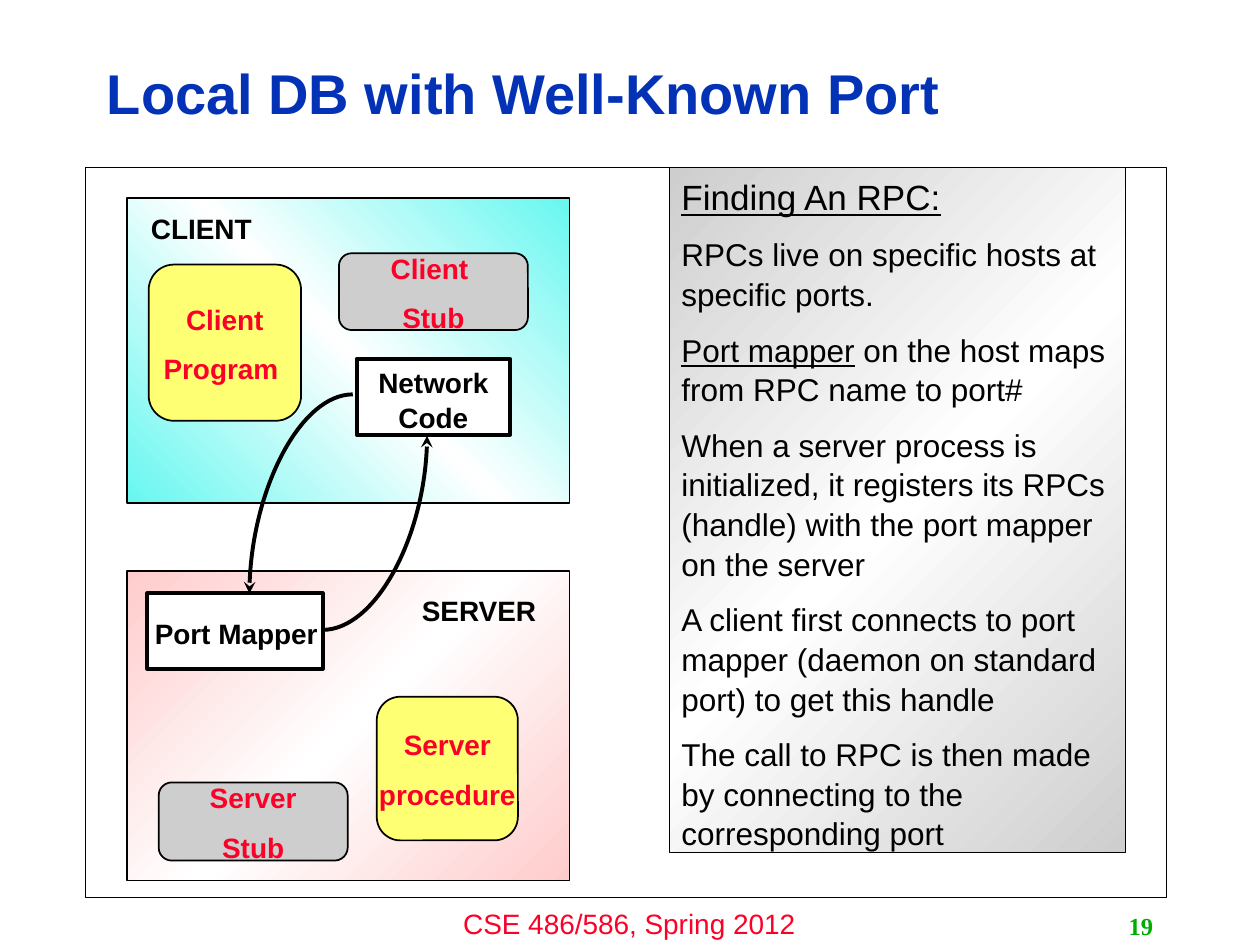
from copy import deepcopy
from dataclasses import dataclass

from lxml.etree import SubElement
from pptx import Presentation
from pptx.dml.color import RGBColor
from pptx.enum.shapes import MSO_CONNECTOR, MSO_SHAPE
from pptx.enum.text import MSO_ANCHOR, PP_ALIGN
from pptx.oxml.ns import qn
from pptx.util import Inches, Pt


@dataclass(frozen=True)
class Theme:
    ink: str = "000000"
    paper: str = "FFFFFF"
    title: str = "0332B7"
    accent: str = "FC0128"
    number: str = "00AE00"
    program: str = "FEFF72"
    stub: str = "CECECE"
    client: str = "67F7F0"
    server: str = "FFCCCC"
    sans: str = "Arial"
    serif: str = "Times New Roman"
    title_size: int = 32
    heading_size: int = 20
    body_size: int = 18
    label_size: int = 16
    number_size: int = 14
    thin: float = 1
    thick: float = 2.25


class SlideBuilder:
    COLUMNS, ROWS = 100, 75

    def __init__(self, theme):
        self.theme = theme
        self.deck = Presentation()
        self.deck.slide_width, self.deck.slide_height = Inches(10), Inches(7.5)
        self.slide = self.deck.slides.add_slide(self.deck.slide_layouts[6])

    def x(self, columns):
        return round(self.deck.slide_width * columns / self.COLUMNS)

    def y(self, rows):
        return round(self.deck.slide_height * rows / self.ROWS)

    def place(self, area):
        left, top, width, height = area
        return self.x(left), self.y(top), self.x(width), self.y(height)

    def outline(self, line, weight):
        line.color.rgb = RGBColor.from_string(self.theme.ink)
        line.width = Pt(weight)

    def box(self, area, fill=None, weight=None, preset=MSO_SHAPE.RECTANGLE):
        shape = self.slide.shapes.add_shape(preset, *self.place(area))
        shape.shadow.inherit = False
        if fill:
            shape.fill.solid()
            shape.fill.fore_color.rgb = RGBColor.from_string(fill)
        else:
            shape.fill.background()
        self.outline(shape.line, weight or self.theme.thin)
        return shape

    def gradient_panel(self, area, edge, angle, weight=None):
        panel = self.box(area, weight=weight)
        panel.fill.gradient()
        panel.fill.gradient_angle = angle
        first = panel._element.spPr.find(qn("a:gradFill")).find(qn("a:gsLst"))[0]
        first.addnext(deepcopy(first))
        colors = (edge, self.theme.paper, edge)
        for stop, color, position in zip(panel.fill.gradient_stops, colors, (0, 0.5, 1)):
            stop.color.rgb = RGBColor.from_string(color)
            stop.position = position
        return panel

    def fill_text(self, shape, paragraphs, size, color, bold=True, align=PP_ALIGN.CENTER,
                  anchor=MSO_ANCHOR.TOP, wrap=True, font=None, spacing=1.05):
        frame = shape.text_frame
        frame.word_wrap = wrap
        frame.vertical_anchor = anchor
        for index, runs in enumerate(paragraphs):
            paragraph = frame.add_paragraph() if index else frame.paragraphs[0]
            paragraph.alignment = align
            paragraph.line_spacing = spacing
            paragraph.space_before = Pt(size / 2 if index else 0)
            paragraph.font.name = font or self.theme.sans
            paragraph.font.size = Pt(size)
            paragraph.font.bold = bold
            paragraph.font.color.rgb = RGBColor.from_string(color)
            for text, underlined in [(runs, False)] if isinstance(runs, str) else runs:
                run = paragraph.add_run()
                run.text = text
                if underlined:
                    run.font.underline = True
        return frame

    def text(self, area, words, size=None, color=None, **style):
        label = self.slide.shapes.add_textbox(*self.place(area))
        self.fill_text(label, [words], size or self.theme.label_size,
                       color or self.theme.ink, **style)

    def component(self, area, fill, words):
        part = self.box(area, fill, preset=MSO_SHAPE.ROUNDED_RECTANGLE)
        self.fill_text(part, words, self.theme.label_size, self.theme.accent,
                       anchor=MSO_ANCHOR.MIDDLE, wrap=False)

    def endpoint(self, area, words, words_area):
        self.box(area, self.theme.paper, self.theme.thick)
        self.text(words_area, words)

    def curved_arrow(self, start, end):
        arrow = self.slide.shapes.add_connector(
            MSO_CONNECTOR.CURVE, self.x(start[0]), self.y(start[1]),
            self.x(end[0]), self.y(end[1]))
        self.outline(arrow.line, self.theme.thick)
        properties = arrow._element.spPr
        properties.find(qn("a:prstGeom")).set("prst", "curvedConnector2")
        SubElement(properties.find(qn("a:ln")), qn("a:tailEnd"), type="stealth")
        SubElement(properties, qn("a:effectLst"))


def main():
    theme = Theme()
    page = SlideBuilder(theme)

    page.text((33.3, 71.3, 33.3, 3.7), "CSE 486/586, Spring 2012",
              color=theme.accent, bold=False)
    page.text((7.5, 3.6, 79.8, 8.1), "Local DB with Well-Known Port", theme.title_size,
              theme.title, align=PP_ALIGN.LEFT, anchor=MSO_ANCHOR.MIDDLE, spacing=0.9)
    page.text((71.7, 71.8, 20.8, 3.2), "19", theme.number_size, theme.number,
              align=PP_ALIGN.RIGHT, anchor=MSO_ANCHOR.MIDDLE, font=theme.serif)

    page.gradient_panel((10.1, 45.3, 35.1, 24.6), theme.server, 315)
    page.gradient_panel((10.1, 15.7, 35.1, 24.2), theme.client, 45)
    page.box((6.8, 13.3, 85.8, 57.9), weight=0.25)

    for area, fill, words in (
        ((11.8, 21, 12.1, 12.4), theme.program, ("Client", "Program ")),
        ((29.9, 55.3, 11.2, 11.4), theme.program, ("Server", "procedure")),
        ((12.6, 62.1, 15, 6.2), theme.stub, ("Server", "Stub")),
        ((26.9, 20.1, 15, 6.1), theme.stub, ("Client ", "Stub")),
    ):
        page.component(area, fill, words)

    page.endpoint((28.3, 28.5, 12.2, 6), "Network Code", (27.6, 28.4, 13.6, 6.4))
    page.endpoint((11.7, 47.1, 13.9, 6), "Port Mapper", (10.9, 48.3, 15.7, 3.7))
    page.curved_arrow((28, 31.3), (19.8, 47.1))
    page.curved_arrow((25.6, 50), (33.9, 34.6))

    page.text((32.5, 46.5, 12.4, 3.4), "SERVER", align=PP_ALIGN.LEFT)
    page.text((11, 16.2, 12.4, 3.4), "CLIENT", align=PP_ALIGN.LEFT)

    explanation = page.gradient_panel((53.1, 13.3, 36.2, 54.4), theme.stub, 315, 0.5)
    frame = page.fill_text(explanation, (
        [("Finding An RPC:", True)],
        "RPCs live on specific hosts at specific ports.",
        [("Port mapper", True), (" on the host maps from RPC name to port#", False)],
        "When a server process is initialized, it registers its RPCs (handle) "
        "with the port mapper on the server",
        "A client first connects to port mapper (daemon on standard port) "
        "to get this handle",
        "The call to RPC is then made by connecting to the corresponding port",
    ), theme.body_size, theme.ink, bold=False, align=PP_ALIGN.LEFT)
    frame.paragraphs[0].font.size = Pt(theme.heading_size)

    page.deck.save("out.pptx")


if __name__ == "__main__":
    main()
